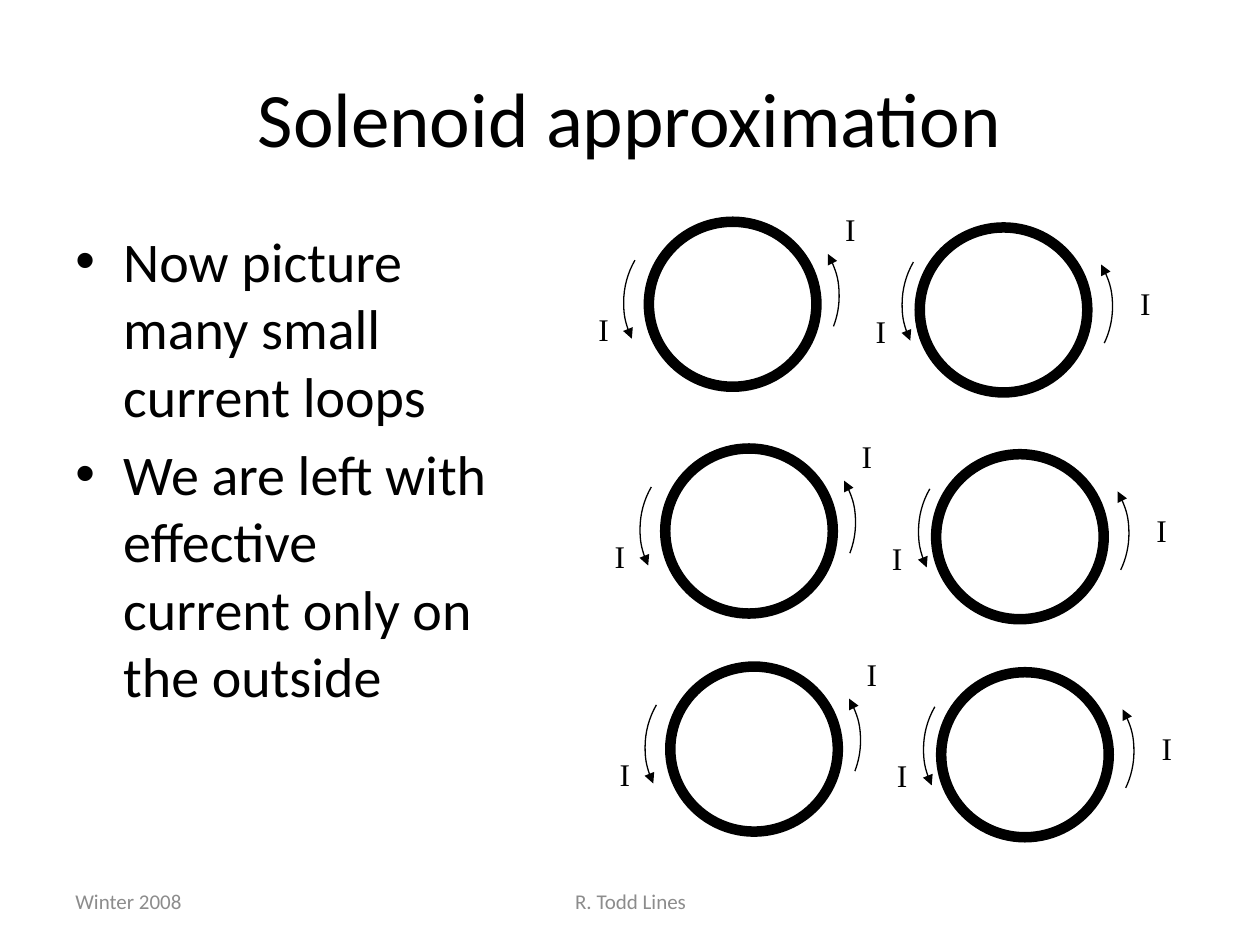
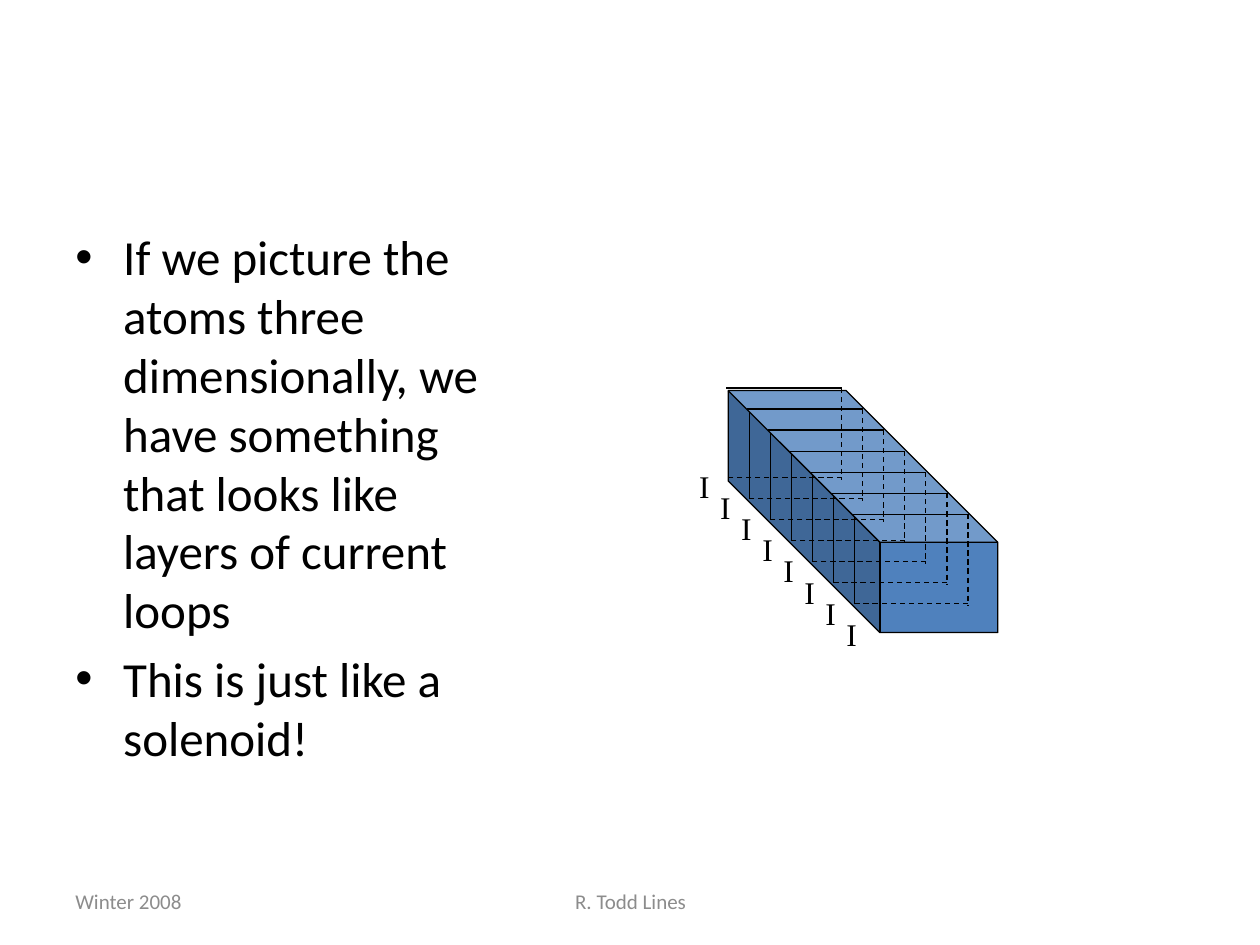
from collections import namedtuple
from math import cos, radians, sin, tan

from lxml.etree import SubElement
from pptx import Presentation
from pptx.dml.color import RGBColor
from pptx.enum.dml import MSO_LINE
from pptx.enum.shapes import MSO_CONNECTOR, MSO_SHAPE
from pptx.enum.text import MSO_ANCHOR, MSO_AUTO_SIZE, PP_ALIGN
from pptx.oxml.ns import qn
from pptx.util import Inches, Pt

# Grid: 100 columns by 75 rows of square cells
COLS, ROWS = 100, 75
CELL = Inches(10) / COLS
Box = namedtuple("Box", "x y w h")

HUES = {"ink": "000000", "soft": "8C8C8C", "cube": "4F81BD"}
FONTS = {
    "title": {"name": "Calibri", "size": Pt(44)},
    "large": {"name": "Calibri", "size": Pt(32)},
    "body": {"name": "Calibri", "size": Pt(28)},
    "foot": {"name": "Calibri", "size": Pt(12)},
    "label": {"name": "Times New Roman", "size": Pt(18)},
}
PAGE = Box(0, 0, COLS, ROWS)
MID = {"vertical_anchor": MSO_ANCHOR.MIDDLE}
TIGHT = {"word_wrap": False, "auto_size": MSO_AUTO_SIZE.SHAPE_TO_FIT_TEXT}


# Helpers
def cells(*nums):
    return [round(n * CELL) for n in nums]


def hue(key):
    return RGBColor.from_string(HUES[key])


def setup(item, vals):
    for key, val in vals.items():
        setattr(item, key, val)


def outline(shape, width, fill=None):
    shape.shadow.inherit = False
    if fill:
        shape.fill.solid()
        shape.fill.fore_color.rgb = hue(fill)
    else:
        shape.fill.background()
    shape.line.color.rgb = hue("ink")
    shape.line.width = Pt(width)


def write(slide, box, lines, font, tone="ink", frame=None, para=None):
    text = slide.shapes.add_textbox(*cells(*box)).text_frame
    setup(text, {"word_wrap": True, **(frame or {})})
    for i, line in enumerate(lines):
        par = text.paragraphs[0] if i == 0 else text.add_paragraph()
        setup(par, para or {})
        run = par.add_run()
        run.text = line
        setup(run.font, FONTS[font])
        run.font.color.rgb = hue(tone)
    return text


def label(slide, x, y):
    write(slide, Box(x, y, 2.8, 3.7), ["I"], "label", frame=TIGHT)


# Shared parts
def footer(slide, box):
    y = box.y + 69.5
    write(slide, Box(box.x + 5, y, 23.3, 4), ["Winter 2008"], "foot", "soft", MID)
    write(slide, Box(box.x + 34.2, y, 31.7, 4), ["R. Todd Lines"], "foot", "soft",
          MID, {"alignment": PP_ALIGN.CENTER})


def title(slide, box, line):
    write(slide, box, [line], "title", frame=MID,
          para={"alignment": PP_ALIGN.CENTER})


def bullets(slide, box, lines, font):
    gap = round(FONTS[font]["size"] * 0.2)
    text = write(slide, box, lines, font, para={"space_before": gap})
    hang = Inches(0.38)
    for par in text.paragraphs:
        props = par._p.get_or_add_pPr()
        props.set("marL", str(hang))
        props.set("indent", str(-hang))
        SubElement(props, qn("a:buFont")).set("typeface", "Arial")
        SubElement(props, qn("a:buChar")).set("char", "•")


# Current loops
def bend(start, end):
    """Control points of the circle arc between two angles, in radians."""
    k = 4 / 3 * tan((end - start) / 4)
    return [(cos(start) - k * sin(start), sin(start) + k * cos(start)),
            (cos(end) + k * sin(end), sin(end) - k * cos(end)),
            (cos(end), sin(end))]


def arrow(slide, x, y, low, side):
    """Curved arrow round (x, y): up on the right (1), down on the left (-1)."""
    size, low, high = 6.7, radians(low), radians(-30)
    pts = [(cos(low), sin(low))] + bend(low, 0) + bend(0, high)
    if side < 0:
        pts.reverse()
    pts = [cells(x + side * size * u, y + size * v) for u, v in pts]
    form = slide.shapes.build_freeform(*pts[0])
    form.add_line_segments(pts[1:] + [cells(x, y)], close=True)
    shape = form.convert_to_shape()
    outline(shape, 0.75)
    # Open the wedge and turn its edges into two curves
    track = next(shape._element.iter(qn("a:path")))
    steps = list(track)[1:]
    for step in steps:
        track.remove(step)
    for i in (0, 3):
        curve = SubElement(track, qn("a:cubicBezTo"))
        for step in steps[i:i + 3]:
            curve.append(step[0])
    SubElement(shape.line._get_or_add_ln(), qn("a:tailEnd")).set("type", "triangle")


def loop(slide, box, arcs, marks):
    ring = slide.shapes.add_shape(MSO_SHAPE.OVAL, *cells(*box))
    outline(ring, 6)
    for x, y, low, side in arcs:
        arrow(slide, box.x + x, box.y + y, low, side)
    for x, y in marks:
        label(slide, box.x + x, box.y + y)


def pair(slide, box):
    """One row of two loops, with the box of the left ring."""
    loop(slide, box, [(8.4, 5.9, 21, 1), (4.7, 6.4, 25.5, -1)],
         [(14.6, -1.4), (-5, 6.5)])
    loop(slide, box._replace(x=box.x + 21.5, y=box.y + 0.45),
         [(8.6, 6.3, 25.5, 1), (5.3, 6.1, 25.5, -1)],
         [(16.5, 4), (-4.5, 6.2)])


# Stack of layers
def edge(group, x, y, ends, dash):
    (a, b), (c, d) = ends
    line = group.shapes.add_connector(
        MSO_CONNECTOR.STRAIGHT, *cells(x + a, y + b, x + c, y + d))
    line.line.color.rgb = hue("ink")
    line.line.width = Pt(0.75)
    if dash:
        line.line.dash_style = MSO_LINE.DASH
    SubElement(line._element.spPr, qn("a:effectLst"))


def stack(slide, box, count=7, step=1.67):
    cube = slide.shapes.add_shape(MSO_SHAPE.CUBE, *cells(*box))
    cube.adjustments[0] = 0.627
    cube._element.spPr.get_or_add_xfrm().set("flipH", "1")
    outline(cube, 0.75, "cube")
    edges = [(((9, -0.2), (9, 7.1)), True), (((9, 6.9), (-0.2, 6.9)), True),
             (((9, -0.2), (-0.2, -0.2)), False), (((0, 0), (0, 6.9)), False)]
    for i in range(count):
        group = slide.shapes.add_group_shape()
        for ends, dash in edges:
            edge(group, box.x + i * step, box.y + i * step, ends, dash)
    for i in range(count + 1):
        label(slide, box.x - 3.3 + i * step, box.y + 5.6 + i * step)


# Slides
def loops(slide, box):
    footer(slide, box)
    title(slide, Box(box.x + 5, box.y + 3, 90, 12.5), "Solenoid approximation")
    bullets(slide, Box(box.x + 5, box.y + 17.5, 35.3, 49.5),
            ["Now picture many small current loops",
             "We are left with effective current only on the outside"], "large")
    for x, y in [(51.5, 17.6), (52.8, 35.6), (53.2, 52.9)]:
        pair(slide, Box(box.x + x, box.y + y, 13.3, 13.1))


def layers(slide, box):
    footer(slide, box)
    bullets(slide, Box(box.x + 5, box.y + 17.5, 36, 49.5),
            ["If we picture the atoms three dimensionally, we have something "
             "that looks like layers of current loops",
             "This is just like a solenoid!"], "body")
    stack(slide, Box(box.x + 57.8, box.y + 31, 21.4, 19.2))


deck = Presentation()
wide, high = cells(COLS, ROWS)
setup(deck, {"slide_width": wide, "slide_height": high})
for build in (loops, layers):
    build(deck.slides.add_slide(deck.slide_layouts[6]), PAGE)
deck.save("out.pptx")
